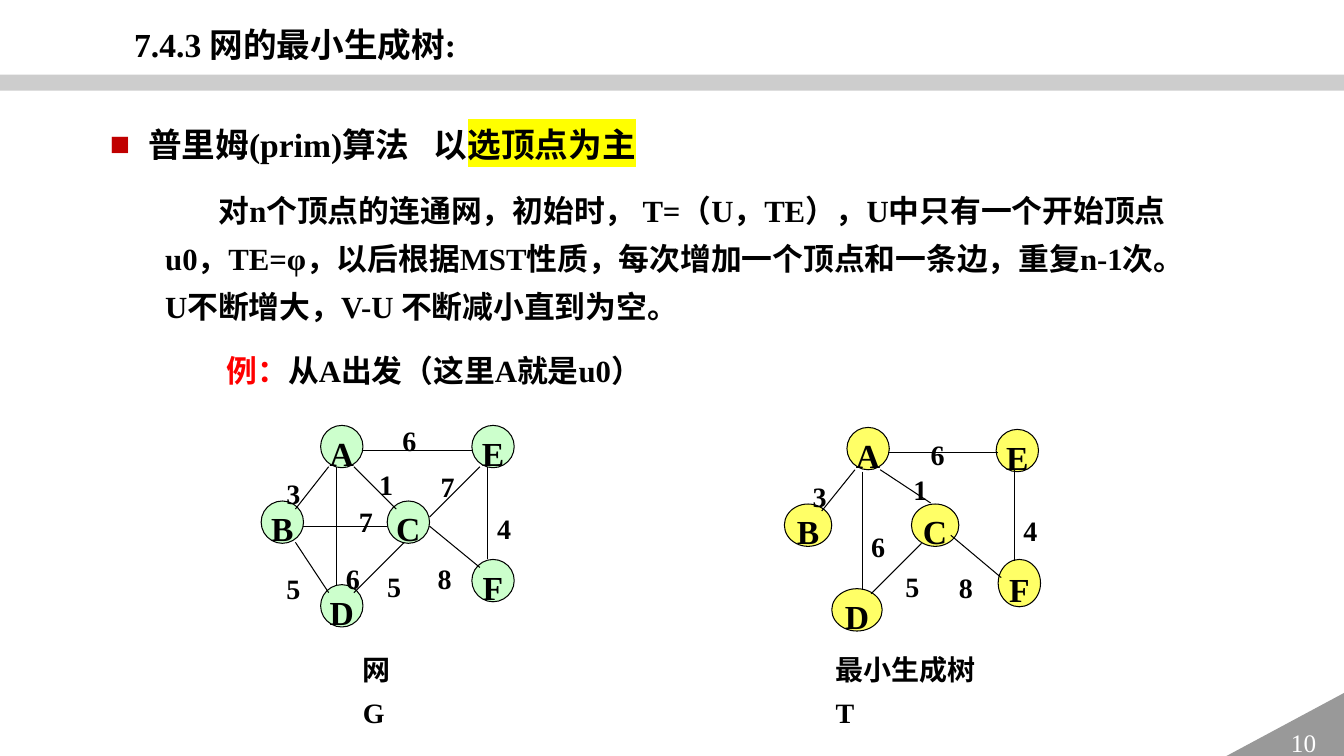
"""Builds a slide on Prim's algorithm with a weighted graph and its spanning tree."""
from dataclasses import dataclass

from lxml import etree
from pptx import Presentation
from pptx.dml.color import RGBColor
from pptx.enum.shapes import MSO_CONNECTOR, MSO_SHAPE
from pptx.enum.text import MSO_ANCHOR, MSO_AUTO_SIZE, PP_ALIGN
from pptx.oxml.ns import qn
from pptx.util import Inches, Pt

LINE = MSO_CONNECTOR.STRAIGHT
OVAL, BAR, CORNER = MSO_SHAPE.OVAL, MSO_SHAPE.RECTANGLE, MSO_SHAPE.RIGHT_TRIANGLE
TOP, MIDDLE = MSO_ANCHOR.TOP, MSO_ANCHOR.MIDDLE
LEFT, CENTER = PP_ALIGN.LEFT, PP_ALIGN.CENTER


@dataclass(frozen=True)
class Theme:
    font: str = "Times New Roman"
    ink: str = "000000"
    accent: str = "FF0000"
    bullet: str = "C00000"
    highlight: str = "FFFF00"
    bar: str = "A6A6A6"
    corner: str = "999999"
    page: str = "FFFFFF"
    graph: str = "CCFFCC"
    tree: str = "FFFF66"
    heading: int = 24
    body: int = 22
    label: int = 20
    number: int = 18
    outline: float = 0.75
    spacing: float = 1.3


THEME = Theme()

TITLE = "7.4.3 网的最小生成树:"
TOPIC = "普里姆(prim)算法"
TOPIC_LINK = "以"
TOPIC_KEY = "选顶点为主"
EXPLANATION = (
    "对n个顶点的连通网，初始时， T=（U，TE），U中只有一个开始顶点u0，TE=φ，"
    "以后根据MST性质，每次增加一个顶点和一条边，重复n-1次。"
    "U不断增大，V-U 不断减小直到为空。"
)
EXAMPLE = ("例：", "从A出发（这里A就是u0）")
PAGE_NUMBER = "10"

DIAGRAMS = [
    {
        "fill": THEME.graph,
        "caption": ("网G", 3.5, 0.68),
        "nodes": {
            "A": (3.18, 4.22, 0.42, 0.42), "B": (2.59, 4.97, 0.42, 0.42),
            "C": (3.84, 4.97, 0.42, 0.42), "D": (3.18, 5.8, 0.42, 0.42),
            "E": (4.68, 4.22, 0.42, 0.42), "F": (4.68, 5.55, 0.42, 0.42),
        },
        "edges": [
            ("3", (3.26, 4.63), (2.93, 5.05), (2.84, 4.63)),
            ("5", (2.93, 5.38), (3.26, 5.88), (2.84, 5.57)),
            ("7", (3.01, 5.22), (3.84, 5.22), (3.56, 4.9)),
            ("6", (3.34, 4.63), (3.34, 5.8), (3.43, 5.47)),
            ("1", (3.51, 4.63), (3.93, 5.05), (3.76, 4.54)),
            ("5", (4.01, 5.38), (3.51, 5.88), (3.84, 5.55)),
            ("7", (4.76, 4.63), (4.26, 5.13), (4.37, 4.56)),
            ("8", (4.26, 5.22), (4.76, 5.63), (4.34, 5.47)),
            ("4", (4.84, 4.63), (4.84, 5.55), (4.93, 4.97)),
            ("6", (3.59, 4.47), (4.68, 4.47), (3.99, 4.1)),
        ],
    },
    {
        "fill": THEME.tree,
        "caption": ("最小生成树T", 8.19, 1.76),
        "nodes": {
            "A": (8.4, 4.24, 0.42, 0.42), "B": (7.78, 5, 0.47, 0.42),
            "C": (9.04, 5, 0.47, 0.42), "D": (8.25, 5.84, 0.5, 0.42),
            "E": (9.88, 4.26, 0.42, 0.42), "F": (9.9, 5.55, 0.42, 0.47),
        },
        "edges": [
            ("3", (8.48, 4.66), (8.15, 5.07), (8.06, 4.66)),
            ("1", (8.73, 4.66), (9.23, 4.99), (9.06, 4.59)),
            ("6", (8.81, 4.49), (9.9, 4.49), (9.23, 4.24)),
            ("4", (10.06, 4.66), (10.06, 5.57), (10.15, 4.99)),
            ("6", (8.55, 4.68), (8.55, 5.85), (8.64, 5.15)),
            ("5", (9.14, 5.39), (8.64, 5.89), (8.98, 5.55)),
            ("8", (9.43, 5.31), (9.93, 5.73), (9.51, 5.56)),
        ],
    },
]


def rgb(color):
    return RGBColor.from_string(color)


def add_run(paragraph, text, size, color=THEME.ink, bold=True):
    run = paragraph.add_run()
    run.text = text
    run.font.name = THEME.font
    run.font.size = Pt(size)
    run.font.bold = bold
    run.font.color.rgb = rgb(color)
    return run


def first_paragraph(shape, anchor=TOP, alignment=LEFT, wrap=True):
    frame = shape.text_frame
    frame.word_wrap = wrap
    frame.auto_size = MSO_AUTO_SIZE.NONE
    frame.vertical_anchor = anchor
    paragraph = frame.paragraphs[0]
    paragraph.alignment = alignment
    paragraph.line_spacing = THEME.spacing
    paragraph.space_before = Pt(0)
    return paragraph


def place(shape, *box):
    shape.left, shape.top, shape.width, shape.height = map(Inches, box)
    return shape


def add_text_box(slide, *box):
    return slide.shapes.add_textbox(*map(Inches, box))


def add_filled(slide, kind, box, fill, outline=None):
    shape = slide.shapes.add_shape(kind, *map(Inches, box))
    shape.shadow.inherit = False
    shape.fill.solid()
    shape.fill.fore_color.rgb = rgb(fill)
    if outline:
        shape.line.color.rgb = rgb(outline)
        shape.line.width = Pt(THEME.outline)
    else:
        shape.line.fill.background()
    return shape


def add_frame(slide):
    bar = add_filled(slide, BAR, (0, 0.74, 13.33, 0.16), THEME.bar)
    color = bar._element.spPr.find(qn("a:solidFill"))[0]
    etree.SubElement(color, qn("a:alpha"), val="56000")
    corner = add_filled(slide, CORNER, (12.11, 6.87, 1.23, 0.66), THEME.corner)
    corner._element.spPr.find(qn("a:xfrm")).set("flipH", "1")
    paragraph = first_paragraph(corner, MIDDLE, CENTER)
    paragraph.line_spacing = 1.0
    add_run(paragraph, PAGE_NUMBER, THEME.number, THEME.page, False)


def add_topic(shape):
    paragraph = first_paragraph(shape)
    properties = paragraph._p.get_or_add_pPr()
    properties.set("marL", str(Inches(0.38)))
    properties.set("indent", str(Inches(-0.38)))
    bullet_color = etree.SubElement(properties, qn("a:buClr"))
    etree.SubElement(bullet_color, qn("a:srgbClr"), val=THEME.bullet)
    etree.SubElement(properties, qn("a:buChar"), char="■")
    add_run(paragraph, TOPIC, THEME.heading)
    gap = add_run(paragraph, " ", THEME.heading)
    gap._r.get_or_add_rPr().set("spc", "1200")
    add_run(paragraph, TOPIC_LINK, THEME.heading)
    key = add_run(paragraph, TOPIC_KEY, THEME.heading)
    highlight = etree.Element(qn("a:highlight"))
    etree.SubElement(highlight, qn("a:srgbClr"), val=THEME.highlight)
    key._r.get_or_add_rPr().find(qn("a:solidFill")).addnext(highlight)


def add_diagram(slide, diagram):
    for name, box in diagram["nodes"].items():
        node = add_filled(slide, OVAL, box, diagram["fill"], THEME.ink)
        add_run(first_paragraph(node, MIDDLE, CENTER, False), name, THEME.heading)
    for weight, start, end, label_at in diagram["edges"]:
        edge = slide.shapes.add_connector(LINE, *map(Inches, start + end))
        edge.line.color.rgb = rgb(THEME.ink)
        edge.line.width = Pt(THEME.outline)
        etree.SubElement(edge._element.spPr, qn("a:effectLst"))
        label = add_text_box(slide, *label_at, 0.17, 0.39)
        frame = label.text_frame
        frame.margin_left = frame.margin_right = frame.margin_top = frame.margin_bottom = 0
        add_run(first_paragraph(label), weight, THEME.label)
    text, left, width = diagram["caption"]
    caption = add_text_box(slide, left, 6.32, width, 0.95)
    add_run(first_paragraph(caption), text, THEME.label)


def main():
    presentation = Presentation()
    presentation.slide_width, presentation.slide_height = Inches(13.33), Inches(7.5)
    slide = presentation.slides.add_slide(presentation.slide_layouts[1])
    title = place(slide.shapes.title, 1.23, 0.07, 9.71, 0.57)
    add_run(first_paragraph(title), TITLE, THEME.heading)
    add_topic(place(slide.placeholders[1], 0.99, 1.06, 9.71, 0.57))
    add_frame(slide)
    explanation = first_paragraph(add_text_box(slide, 1.54, 1.74, 10.45, 1.59))
    explanation._p.get_or_add_pPr().set("indent", str(Inches(0.53)))
    add_run(explanation, EXPLANATION, THEME.body)
    example = first_paragraph(add_text_box(slide, 2.15, 3.33, 9.71, 0.58))
    for text, color in zip(EXAMPLE, (THEME.accent, THEME.ink)):
        add_run(example, text, THEME.body, color)
    for diagram in DIAGRAMS:
        add_diagram(slide, diagram)
    presentation.save("out.pptx")


if __name__ == "__main__":
    main()
